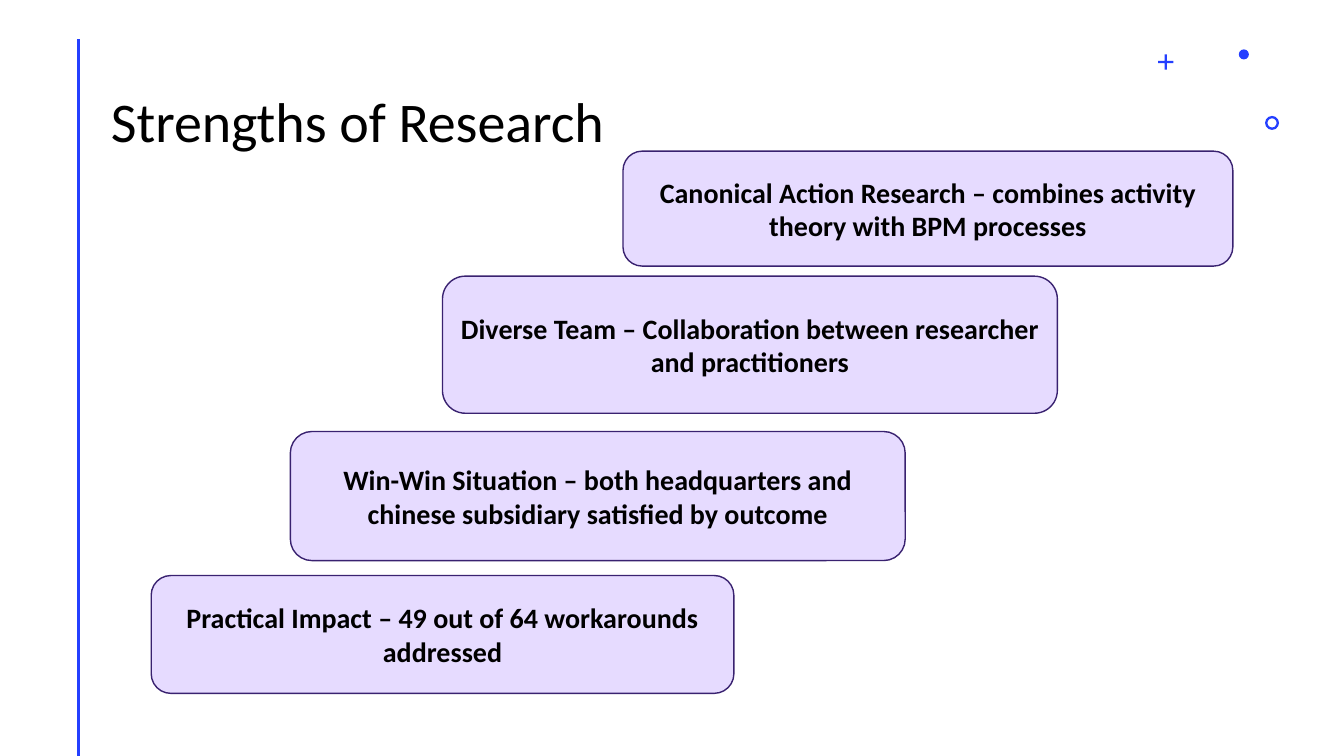
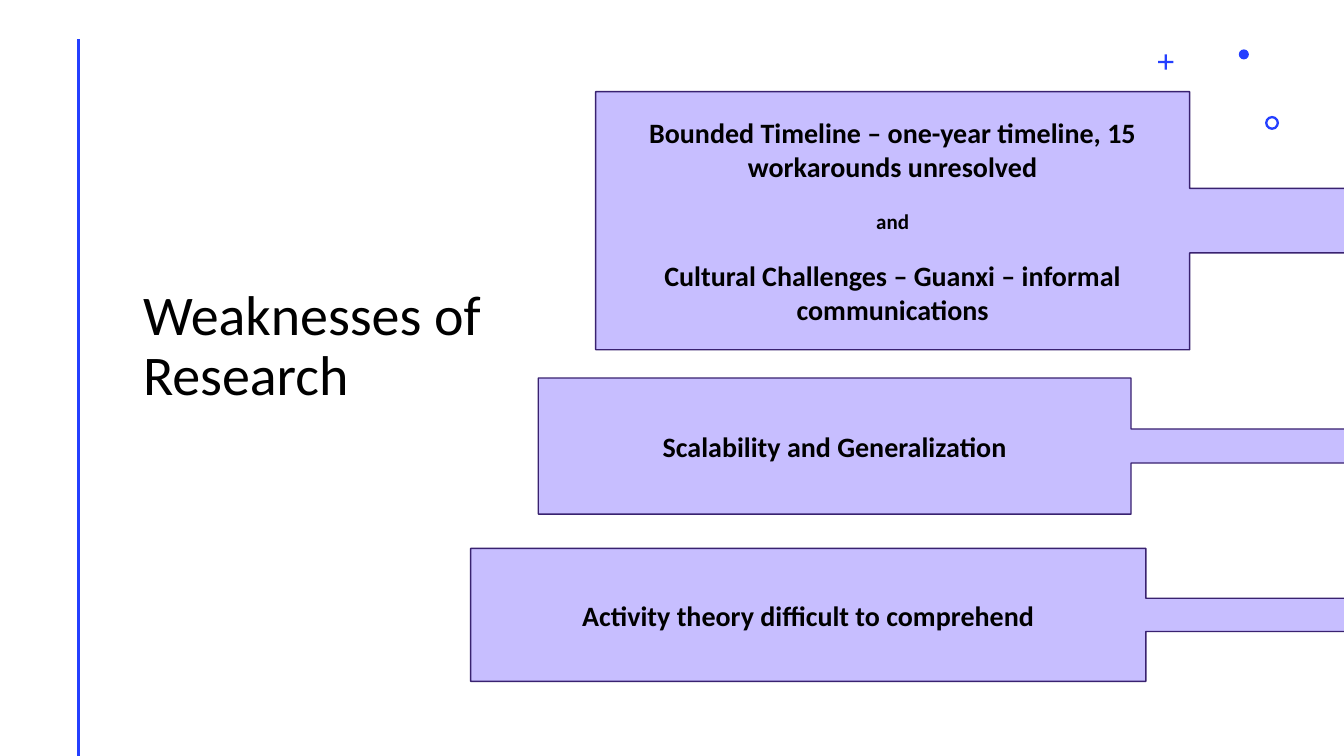
from lxml.etree import SubElement
from pptx import Presentation
from pptx.dml.color import RGBColor
from pptx.enum.shapes import MSO_CONNECTOR, MSO_SHAPE
from pptx.enum.text import MSO_ANCHOR, MSO_AUTO_SIZE, PP_ALIGN
from pptx.oxml.ns import qn
from pptx.util import Pt

COLORS = {
    "accent": "243FFF",
    "step": "E6DBFF",
    "callout": "C7BEFF",
    "outline": "392270",
    "text": "000000",
}
FONT = "Calibri"
TITLE_SIZE, BODY_SIZE, JOINER_SIZE = 40, 20, 15
TITLE_ONLY = 5
PAGE_WIDTH, PAGE_HEIGHT = 960, 540

STRENGTHS = [
    ((445, 108, 435.6, 82.1),
     "Canonical Action Research – combines activity theory with BPM processes"),
    ((316.1, 197.3, 439.2, 97.9),
     "Diverse Team – Collaboration between researcher and practitioners"),
    ((207.4, 308.2, 439.2, 92.2),
     "Win-Win Situation – both headquarters and chinese subsidiary satisfied by outcome"),
    ((108, 411.1, 416.2, 84.2),
     "Practical Impact – 49 out of 64 workarounds addressed"),
]
WEAKNESSES = [
    ((425.5, 65.5, 653, 184.3), [
        ("Bounded Timeline – one-year timeline, 15 workarounds unresolved", BODY_SIZE),
        ("and", JOINER_SIZE),
        ("Cultural Challenges – Guanxi – informal communications", BODY_SIZE),
    ]),
    ((384.5, 270, 651.6, 97.2), [("Scalability and Generalization", BODY_SIZE)]),
    ((336.2, 391.7, 742.3, 95), [("Activity theory difficult to comprehend", BODY_SIZE)]),
]


def color(name):
    return RGBColor.from_string(COLORS[name])


def add_span(para, text, size, bold=False):
    span = para.add_run()
    span.text = text
    span.font.name = FONT
    span.font.size = Pt(size)
    span.font.bold = bold
    span.font.color.rgb = color("text")


def add_figure(page, kind, box, fill, outline=None):
    figure = page.shapes.add_shape(kind, *map(Pt, box))
    figure.shadow.inherit = False
    figure.fill.solid()
    figure.fill.fore_color.rgb = color(fill)
    if outline:
        figure.line.color.rgb = color(outline)
        figure.line.width = Pt(1)
    else:
        figure.line.fill.background()
    return figure


def add_panel(page, kind, box, fill, paragraphs):
    panel = add_figure(page, kind, box, fill, "outline")
    frame = panel.text_frame
    frame.word_wrap = True
    frame.vertical_anchor = MSO_ANCHOR.MIDDLE
    for index, (text, size) in enumerate(paragraphs):
        para = frame.add_paragraph() if index else frame.paragraphs[0]
        para.alignment = PP_ALIGN.CENTER
        if index:
            para.space_before = Pt(18)
        add_span(para, text, size, bold=True)


def add_side_rule(page, left, top, bottom):
    rule = page.shapes.add_connector(
        MSO_CONNECTOR.STRAIGHT, Pt(left), Pt(top), Pt(left), Pt(bottom))
    rule.line.color.rgb = color("accent")
    rule.line.width = Pt(2)
    SubElement(rule.element.spPr, qn("a:effectLst"))


def add_ornaments(page, left, top):
    plus = add_figure(page, MSO_SHAPE.CROSS, (left, top + 3.6, 10.8, 10.8), "accent")
    plus.adjustments[0] = 0.43
    ring = add_figure(page, MSO_SHAPE.DONUT, (left + 76.3, top + 47.5, 10, 10), "accent")
    ring.adjustments[0] = 0.17
    add_figure(page, MSO_SHAPE.OVAL, (left + 57.6, top, 7.2, 7.2), "accent")


def add_page(deck, title_text, title_box):
    page = deck.slides.add_slide(deck.slide_layouts[TITLE_ONLY])
    add_side_rule(page, 56.2, 28, PAGE_HEIGHT)
    add_ornaments(page, 827.3, 35.3)
    title = page.shapes.title
    title.left, title.top, title.width, title.height = map(Pt, title_box)
    frame = title.text_frame
    frame.word_wrap = True
    frame.auto_size = MSO_AUTO_SIZE.NONE
    frame.vertical_anchor = MSO_ANCHOR.MIDDLE
    para = frame.paragraphs[0]
    para.alignment = PP_ALIGN.LEFT
    para.line_spacing = 0.9
    add_span(para, title_text, TITLE_SIZE)
    return page


def add_strengths(deck):
    page = add_page(deck, "Strengths of Research", (72, 44.6, 828, 88.6))
    for box, text in STRENGTHS:
        add_panel(page, MSO_SHAPE.ROUNDED_RECTANGLE, box, "step", [(text, BODY_SIZE)])


def add_weaknesses(deck):
    page = add_page(deck, "Weaknesses of Research", (95, 44.6, 288.7, 406.8))
    for box, paragraphs in WEAKNESSES:
        add_panel(page, MSO_SHAPE.RIGHT_ARROW_CALLOUT, box, "callout", paragraphs)


def main():
    deck = Presentation()
    deck.slide_width, deck.slide_height = Pt(PAGE_WIDTH), Pt(PAGE_HEIGHT)
    add_strengths(deck)
    add_weaknesses(deck)
    deck.save("out.pptx")


if __name__ == "__main__":
    main()
